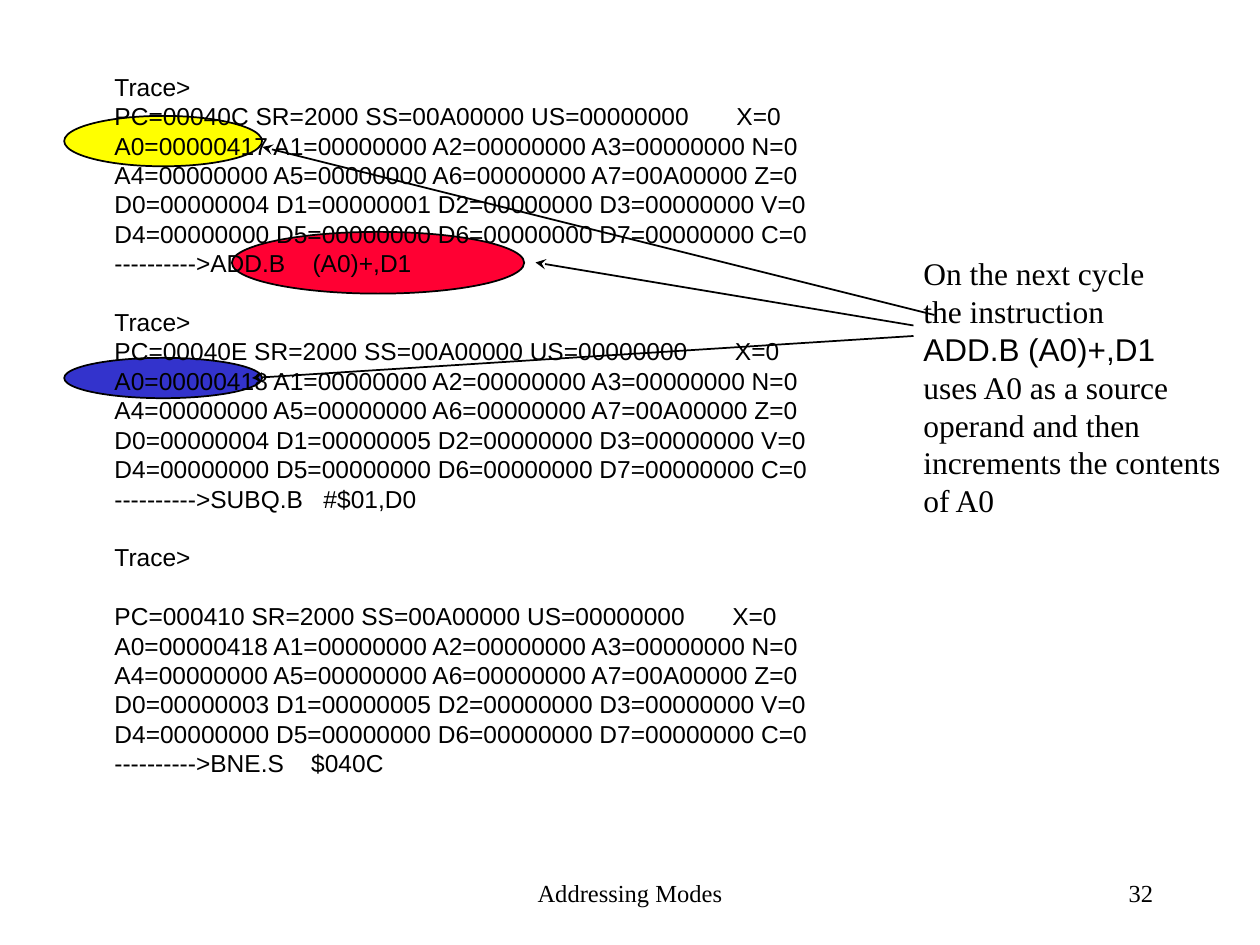
from dataclasses import dataclass

from lxml import etree
from pptx import Presentation
from pptx.dml.color import RGBColor
from pptx.enum import shapes, text
from pptx.oxml import ns
from pptx import util as u

COLUMNS, ROWS = 120, 90
SLIDE_WIDTH, SLIDE_HEIGHT = u.Inches(10), u.Inches(7.5)


@dataclass(frozen=True)
class Theme:
    """Colours, fonts and type sizes of the slide."""
    ink: str = "000000"
    source_before: str = "FFFF00"
    source_after: str = "3333CC"
    instruction: str = "FF0033"
    code_font: str = "Arial"
    body_font: str = "Times New Roman"
    small: int = 14
    note: int = 18
    leading: float = 1.2
    line: int = 1


@dataclass(frozen=True)
class Box:
    """An area in grid columns and rows."""
    left: float
    top: float
    width: float
    height: float

    def inner(self, left, top, width, height):
        """Return an area placed from this box's corner."""
        return Box(self.left + left, self.top + top, width, height)

    def point(self, column, row):
        """Return a slide position measured from this box's corner."""
        return across(self.left + column), down(self.top + row)

    def lengths(self):
        """Return left, top, width and height as slide lengths."""
        return across(self.left), down(self.top), across(self.width), down(self.height)


THEME = Theme()


def across(columns):
    """Turn columns into a slide length."""
    return round(SLIDE_WIDTH * columns / COLUMNS)


def down(rows):
    """Turn rows into a slide length."""
    return round(SLIDE_HEIGHT * rows / ROWS)


def apply(target, values):
    """Set each named format value on the target."""
    for name, value in values.items():
        setattr(target, name, value)


def add_text(slide, box, lines, size, align="LEFT", anchor="TOP"):
    """Write (words, font, gap lines before) as paragraphs in a box."""
    frame = slide.shapes.add_textbox(*box.lengths()).text_frame
    apply(frame, {"word_wrap": True, "vertical_anchor": getattr(text.MSO_ANCHOR, anchor)})
    pitch = size * THEME.leading
    for index, (words, font, gap) in enumerate(lines):
        paragraph = frame.add_paragraph() if index else frame.paragraphs[0]
        apply(paragraph, {"alignment": getattr(text.PP_ALIGN, align),
                          "line_spacing": u.Pt(pitch), "space_before": u.Pt(gap * pitch)})
        run = paragraph.add_run()
        run.text = words
        apply(run.font, {"name": font, "size": u.Pt(size)})
        run.font.color.rgb = RGBColor.from_string(THEME.ink)


def add_mark(slide, box, colour):
    """Draw one outlined ellipse."""
    shape = slide.shapes.add_shape(shapes.MSO_SHAPE.OVAL, *box.lengths())
    shape.shadow.inherit = False
    shape.fill.solid()
    shape.fill.fore_color.rgb = RGBColor.from_string(colour)
    shape.line.color.rgb = RGBColor.from_string(THEME.ink)
    shape.line.width = u.Pt(THEME.line)


def add_arrow(slide, start, end):
    """Draw a straight line with a stealth head at its end."""
    connector = slide.shapes.add_connector(shapes.MSO_CONNECTOR.STRAIGHT, *start, *end)
    connector.line.color.rgb = RGBColor.from_string(THEME.ink)
    connector.line.width = u.Pt(THEME.line)
    properties = connector.element.spPr
    etree.SubElement(properties.find(ns.qn("a:ln")), ns.qn("a:tailEnd"), type="stealth")
    etree.SubElement(properties, ns.qn("a:effectLst"))


def build_callouts(slide, box):
    """Mark the changing values and point at them from the note."""
    for area, colour in (
        ((6.12, 11.04, 18.84, 4.8), THEME.source_before),
        ((6.12, 34.08, 18.84, 3.84), THEME.source_after),
        ((22.08, 22.08, 27.84, 5.88), THEME.instruction),
    ):
        add_mark(slide, box.inner(*area), colour)
    for start, end in (((89, 30), (25, 14)), ((87, 32), (24, 36)), ((87, 31), (51, 25))):
        add_arrow(slide, box.point(*start), box.point(*end))


def build_note(slide, box):
    """Write the explanation beside the trace."""
    instruction = "ADD.B (A0)+,D1"
    words = ("On the next cycle", "the instruction", instruction, "uses A0 as a source",
             "operand and then", "increments the contents", "of A0")
    lines = [(line, THEME.code_font if line == instruction else THEME.body_font, 0)
             for line in words]
    add_text(slide, box, lines, THEME.note)


def trace_step(pc, a0, d0, d1, instruction):
    """Return the register dump of one traced instruction."""
    return (
        f"PC={pc} SR=2000 SS=00A00000 US=00000000       X=0",
        f"A0={a0} A1=00000000 A2=00000000 A3=00000000 N=0",
        "A4=00000000 A5=00000000 A6=00000000 A7=00A00000 Z=0",
        f"D0={d0} D1={d1} D2=00000000 D3=00000000 V=0",
        "D4=00000000 D5=00000000 D6=00000000 D7=00000000 C=0",
        f"---------->{instruction}",
    )


def build_trace(slide, box):
    """Write the three traced steps below each other."""
    steps = (
        (0, "00040C", "00000417", "00000004", "00000001", "ADD.B    (A0)+,D1"),
        (0, "00040E", "00000418", "00000004", "00000005", "SUBQ.B   #$01,D0"),
        (1, "000410", "00000418", "00000003", "00000005", "BNE.S    $040C"),
    )
    lines = []
    for index, (gap, *values) in enumerate(steps):
        lines.append(("Trace>", THEME.code_font, min(index, 1)))
        for row, words in enumerate(trace_step(*values)):
            lines.append((words, THEME.code_font, 0 if row else gap))
    add_text(slide, box, lines, THEME.small)


def build_footer(slide, box):
    """Write the deck title and the slide number."""
    for area, words, align in (((0, 0, 38, 6), "Addressing Modes", "CENTER"),
                               ((45, 0, 25, 6), "32", "RIGHT")):
        add_text(slide, box.inner(*area), [(words, THEME.body_font, 0)],
                 THEME.small, align, "MIDDLE")


def main():
    """Build and save the slide."""
    presentation = Presentation()
    apply(presentation, {"slide_width": SLIDE_WIDTH, "slide_height": SLIDE_HEIGHT})
    slide = presentation.slides.add_slide(presentation.slide_layouts[6])
    build_footer(slide, Box(41, 82, 70, 6))
    build_callouts(slide, Box(0, 0, COLUMNS, ROWS))
    build_note(slide, Box(86.76, 23.64, 31.56, 26.4))
    build_trace(slide, Box(9.72, 6.24, 70.56, 71.28))
    presentation.save("out.pptx")


if __name__ == "__main__":
    main()
